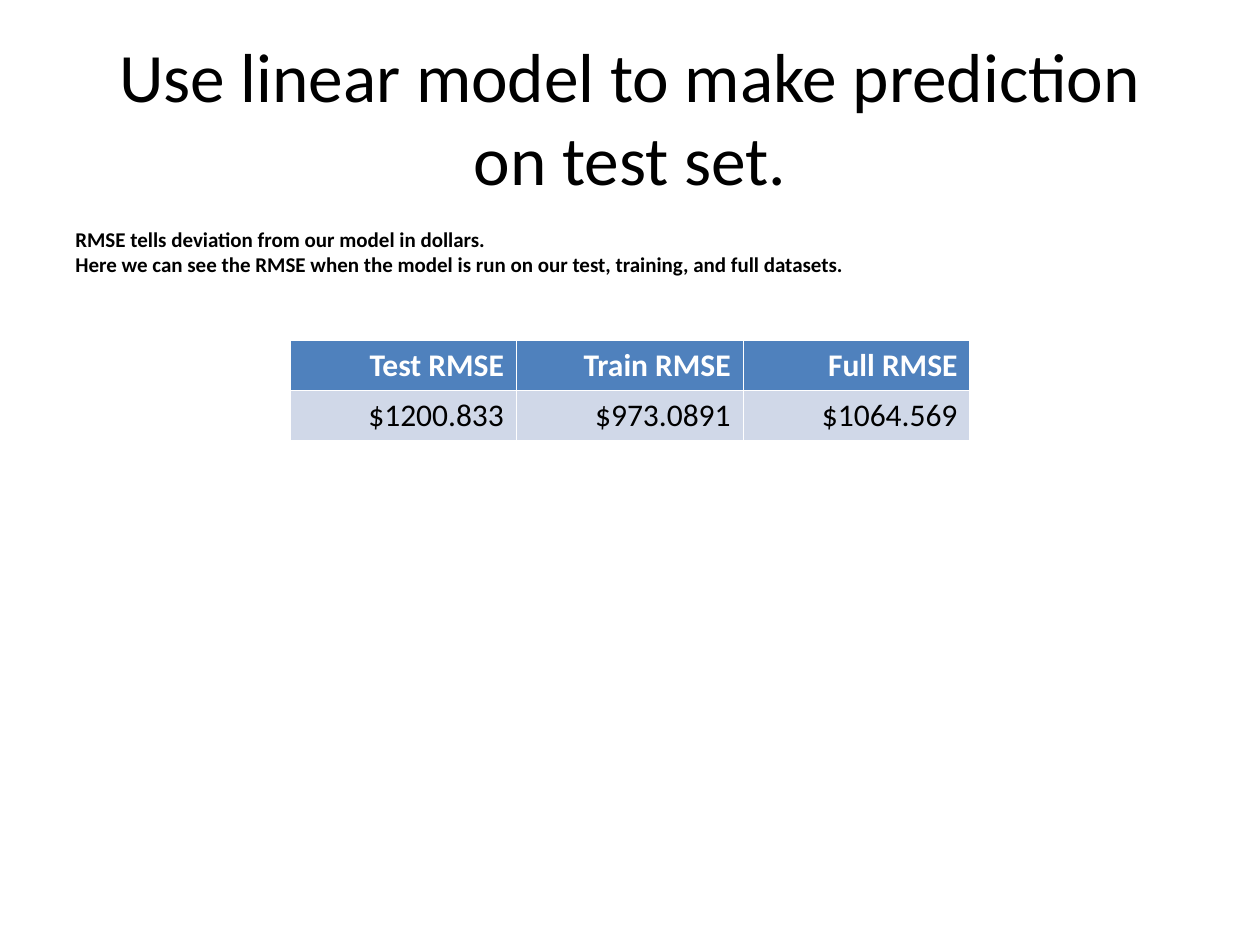
from dataclasses import dataclass

from pptx import Presentation
from pptx.dml.color import RGBColor
from pptx.enum import text
from pptx.util import Inches, Pt


@dataclass(frozen=True)
class Theme:
    font: str = "Calibri"
    black: RGBColor = RGBColor(0, 0, 0)
    white: RGBColor = RGBColor(255, 255, 255)
    header_fill: RGBColor = RGBColor(0x4F, 0x81, 0xBD)
    body_fill: RGBColor = RGBColor(0xD0, 0xD8, 0xE8)
    title_size: float = 39.6
    note_size: float = 12
    table_size: float = 18


THEME = Theme()

TITLE = "Use linear model to make prediction on test set."
# A vertical tab is a line break within the paragraph
NOTE = (
    "RMSE tells deviation from our model in dollars.\v"
    "Here we can see the RMSE when the model is run on our test, training, and full datasets."
)
RMSE_ROWS = [
    ["Test RMSE", "Train RMSE", "Full RMSE"],
    ["$1200.833", "$973.0891", "$1064.569"],
]


def style_paragraph(paragraph, size, color, bold, alignment):
    paragraph.alignment = alignment
    font = paragraph.font
    font.name = THEME.font
    font.size = Pt(size)
    font.bold = bold
    font.color.rgb = color


def add_text(slide, box, words, size, bold, alignment, anchor):
    frame = slide.shapes.add_textbox(*map(Inches, box)).text_frame
    frame.word_wrap = True
    frame.vertical_anchor = anchor
    paragraph = frame.paragraphs[0]
    paragraph.text = words
    style_paragraph(paragraph, size, THEME.black, bold, alignment)


def add_title(slide, box):
    add_text(slide, box, TITLE, THEME.title_size, False,
             text.PP_ALIGN.CENTER, text.MSO_ANCHOR.MIDDLE)


def add_note(slide, box):
    add_text(slide, box, NOTE, THEME.note_size, True,
             text.PP_ALIGN.LEFT, text.MSO_ANCHOR.TOP)


def add_rmse_table(slide, box):
    # The default table style supplies the white borders
    table = slide.shapes.add_table(
        len(RMSE_ROWS), len(RMSE_ROWS[0]), *map(Inches, box)).table
    for row_index, row in enumerate(RMSE_ROWS):
        is_header = row_index == 0
        for column_index, value in enumerate(row):
            cell = table.cell(row_index, column_index)
            cell.fill.solid()
            cell.fill.fore_color.rgb = THEME.header_fill if is_header else THEME.body_fill
            cell.text = value
            style_paragraph(cell.text_frame.paragraphs[0], THEME.table_size,
                            THEME.white if is_header else THEME.black,
                            is_header, text.PP_ALIGN.RIGHT)


def main():
    presentation = Presentation()
    presentation.slide_width = Inches(10)
    presentation.slide_height = Inches(7.5)
    slide = presentation.slides.add_slide(presentation.slide_layouts[6])

    # Boxes are left, top, width, height in inches
    add_title(slide, (0.5, 0.3, 9, 1.25))
    add_note(slide, (0.5, 1.75, 9, 4.95))
    add_rmse_table(slide, (2.3, 2.7, 5.4, 0.8))

    presentation.save("out.pptx")


if __name__ == "__main__":
    main()
